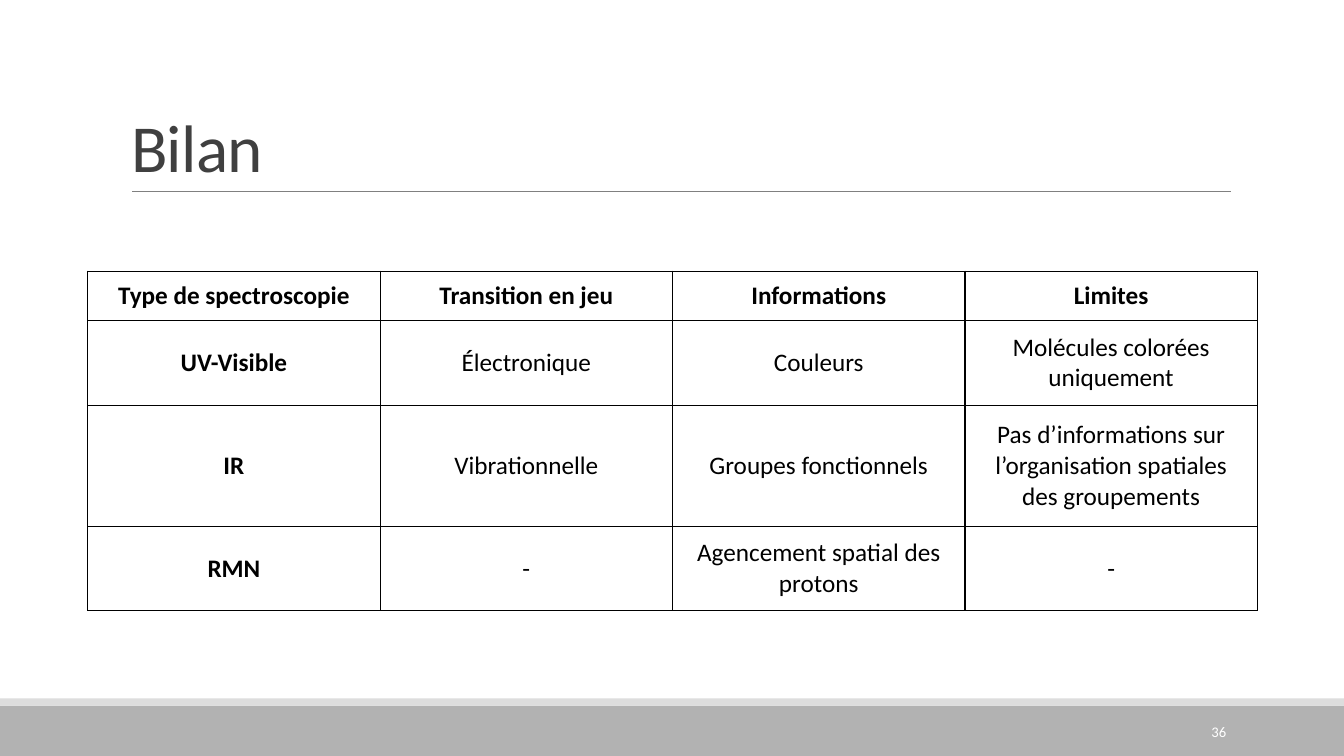
from lxml.etree import SubElement
from pptx import Presentation
from pptx.dml.color import RGBColor
from pptx.enum.shapes import MSO_CONNECTOR, MSO_SHAPE
from pptx.enum.text import MSO_ANCHOR as ANCHOR, MSO_AUTO_SIZE, PP_ALIGN as ALIGN
from pptx.oxml.ns import qn
from pptx.util import Inches, Pt

BLACK = RGBColor(0x00, 0x00, 0x00)
WHITE = RGBColor(0xFF, 0xFF, 0xFF)
TITLE_GREY = RGBColor(0x40, 0x40, 0x40)
RULE_GREY = RGBColor(0x80, 0x80, 0x80)
FOOTER_GREY = RGBColor(0xB2, 0xB2, 0xB2)
STRIPE_GREY = RGBColor(0xDD, 0xDD, 0xDD)

COLUMN_WIDTH = 2.9
ROW_HEIGHTS = [0.49, 0.84, 1.2, 0.84]
SPECTROSCOPY = [
    ["Type de spectroscopie", "Transition en jeu", "Informations", "Limites"],
    ["UV-Visible", "Électronique", "Couleurs", "Molécules colorées uniquement"],
    ["IR", "Vibrationnelle", "Groupes fonctionnels",
     "Pas d’informations sur l’organisation spatiales des groupements"],
    ["RMN", "-", "Agencement spatial des protons", "-"],
]


def write_text(tf, text, size=18, color=BLACK, bold=False, align=ALIGN.LEFT,
               line_spacing=None, tracking=None):
    """Write one formatted paragraph into a text frame."""
    p = tf.paragraphs[0]
    p.alignment = align
    if line_spacing:
        p.line_spacing = line_spacing
    r = p.add_run()
    r.text = text
    r.font.name = "Calibri"
    r.font.size = Pt(size)
    r.font.bold = bold
    r.font.color.rgb = color
    if tracking:
        r.font._element.set("spc", str(int(tracking * 100)))


def add_band(slide, top, height, color):
    """Add a full-width band."""
    sp = slide.shapes.add_shape(MSO_SHAPE.RECTANGLE, 0, Inches(top),
                                Inches(13.33), Inches(height))
    sp.shadow.inherit = False
    sp.fill.solid()
    sp.fill.fore_color.rgb = color
    sp.line.fill.background()


def add_rule(slide, left, right, y):
    """Add the thin horizontal line below the title."""
    line = slide.shapes.add_connector(MSO_CONNECTOR.STRAIGHT, Inches(left),
                                      Inches(y), Inches(right), Inches(y))
    line.line.color.rgb = RULE_GREY
    line.line.width = Pt(0.5)
    SubElement(line._element.spPr, qn("a:effectLst"))


def set_title(slide, text):
    """Place and format the title placeholder."""
    title = slide.shapes.title
    title.left, title.top = Inches(1.2), Inches(0.31)
    title.width, title.height = Inches(11), Inches(1.59)
    tf = title.text_frame
    tf.auto_size = MSO_AUTO_SIZE.NONE
    tf.vertical_anchor = ANCHOR.BOTTOM
    write_text(tf, text, size=48, color=TITLE_GREY, line_spacing=0.85, tracking=-0.5)


def add_borders(cell):
    """Draw a black one-point border around a cell."""
    tc_pr = cell._tc.get_or_add_tcPr()
    for side in ("a:lnL", "a:lnR", "a:lnT", "a:lnB"):
        ln = SubElement(tc_pr, qn(side), w=str(Pt(1)))
        fill = SubElement(ln, qn("a:solidFill"))
        SubElement(fill, qn("a:srgbClr"), val=str(BLACK))


def add_grid(slide, rows, left, top):
    """Add the table with bold first row and first column."""
    columns = len(rows[0])
    table = slide.shapes.add_table(
        len(rows), columns, Inches(left), Inches(top),
        Inches(COLUMN_WIDTH * columns), Inches(sum(ROW_HEIGHTS))).table
    for column in table.columns:
        column.width = Inches(COLUMN_WIDTH)
    for i, texts in enumerate(rows):
        table.rows[i].height = Inches(ROW_HEIGHTS[i])
        for j, text in enumerate(texts):
            cell = table.cell(i, j)
            add_borders(cell)
            cell.fill.background()
            cell.vertical_anchor = ANCHOR.MIDDLE
            write_text(cell.text_frame, text, bold=i == 0 or j == 0, align=ALIGN.CENTER)


def add_page_number(slide, number):
    """Add the page number in the footer band."""
    box = slide.shapes.add_textbox(Inches(10.83), Inches(7.06), Inches(1.43), Inches(0.4))
    tf = box.text_frame
    tf.word_wrap = True
    tf.vertical_anchor = ANCHOR.MIDDLE
    write_text(tf, number, size=10.5, color=WHITE, align=ALIGN.RIGHT)


def main():
    """Build and save the slide."""
    prs = Presentation()
    prs.slide_width, prs.slide_height = Inches(13.33), Inches(7.5)
    slide = prs.slides.add_slide(prs.slide_layouts.get_by_name("Title Only"))
    add_band(slide, 7, 0.5, FOOTER_GREY)
    add_band(slide, 6.93, 0.07, STRIPE_GREY)
    add_rule(slide, 1.31, 12.21, 1.9)
    set_title(slide, "Bilan")
    add_grid(slide, SPECTROSCOPY, 0.87, 2.69)
    add_page_number(slide, "36")
    prs.save("out.pptx")


if __name__ == "__main__":
    main()
